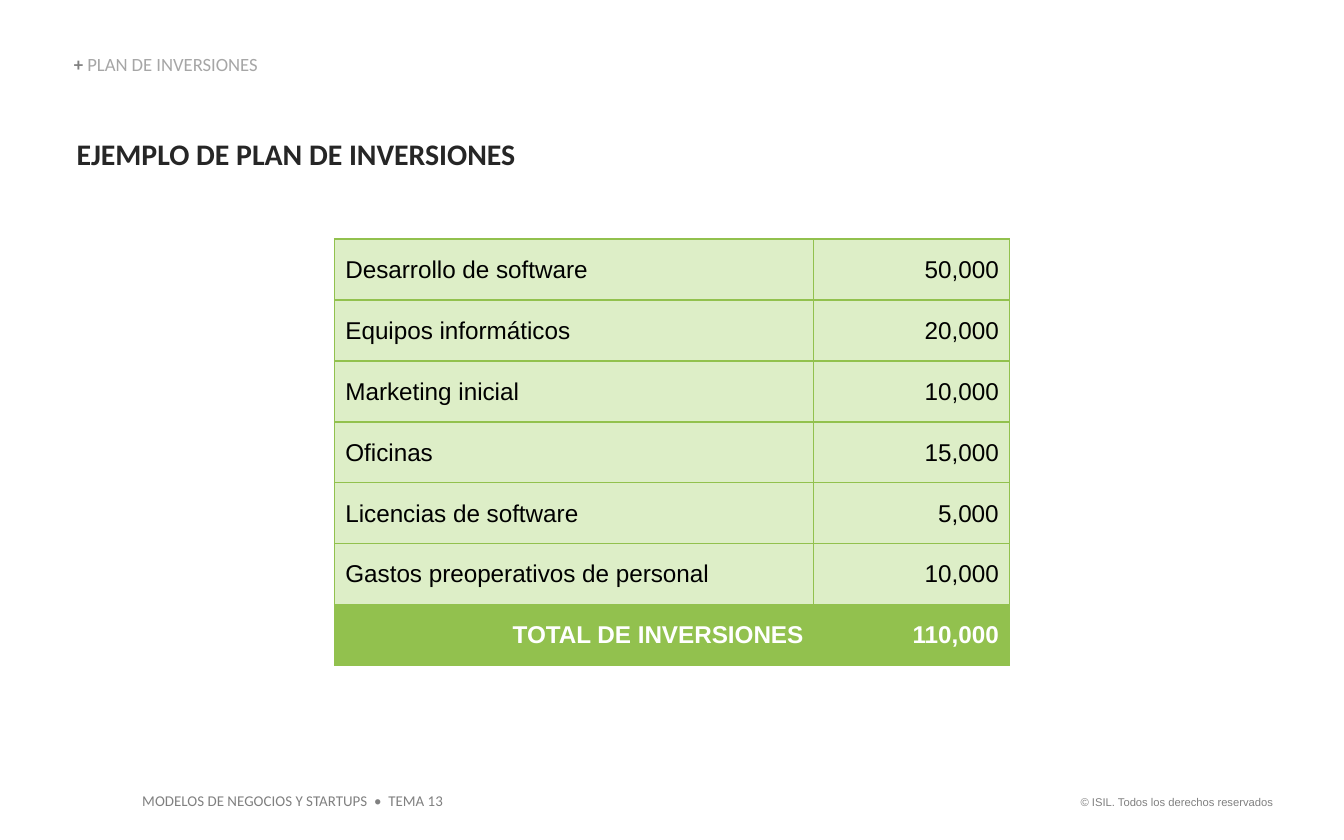
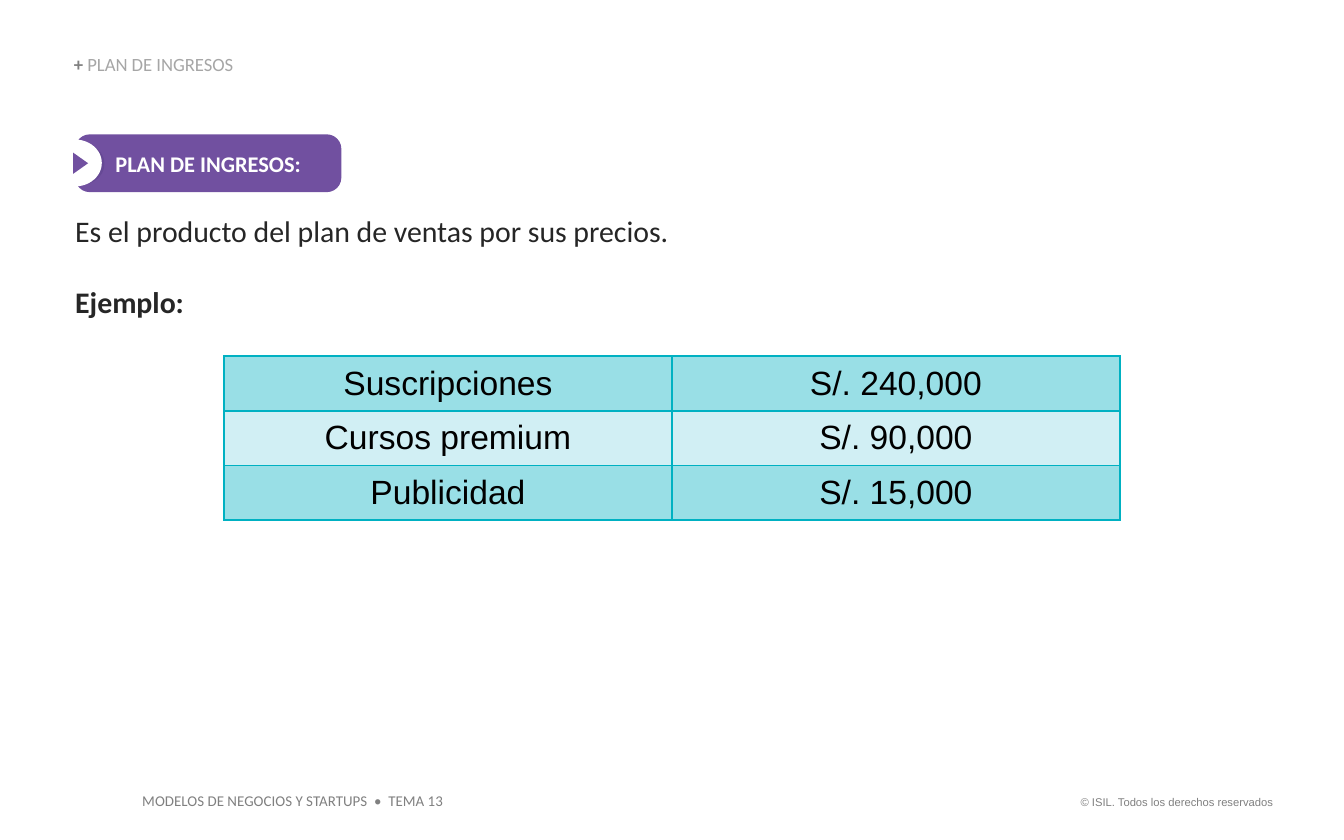
from lxml.etree import SubElement
from pptx import Presentation
from pptx.dml.color import RGBColor
from pptx.enum.shapes import MSO_SHAPE as Shape
from pptx.enum.text import MSO_ANCHOR as Anchor, PP_ALIGN as Align
from pptx.oxml.ns import qn
from pptx.util import Inches, Pt

# Grid: 100 columns by 62.5 rows of one unit
COLS, ROWS = 100, 62.5
UNIT = Inches(0.1)

SANS, PLAIN = "Calibri", "Arial"
INK, GREY, PALE = "262626", "808080", "A6A6A6"
BLACK, WHITE = "000000", "FFFFFF"
GREEN, MINT = "92C14E", "DDEEC7"
TEAL, ICE = "00B1C2", "D1EFF4"
PURPLE, SHADE = "7150A0", "664995"

COSTS = [
    ("Desarrollo de software", "50,000"),
    ("Equipos informáticos", "20,000"),
    ("Marketing inicial", "10,000"),
    ("Oficinas", "15,000"),
    ("Licencias de software", "5,000"),
    ("Gastos preoperativos de personal", "10,000"),
    ("TOTAL DE INVERSIONES", "110,000"),
]
SALES = [
    ("Suscripciones", "S/. 240,000"),
    ("Cursos premium", "S/. 90,000"),
    ("Publicidad", "S/. 15,000"),
]


def color(code):
    return RGBColor.from_string(code)


def place(box):
    return [int(n * UNIT) for n in box]


def inside(box, part):
    """Turn shares of a box into a box on the grid."""
    left, top, width, height = box
    x, y, w, h = part
    return left + x * width, top + y * height, w * width, h * height


def style(font, size, code, bold=False, name=SANS):
    font.name, font.size, font.bold = name, Pt(size), bold
    font.color.rgb = color(code)


def inset(item, *sides):
    (item.margin_left, item.margin_top,
     item.margin_right, item.margin_bottom) = [Inches(n) for n in sides]


def label(slide, box, text, size, code, bold=False, name=SANS,
          align=Align.LEFT, pad=(0, 0, 0, 0), wrap=True):
    frame = slide.shapes.add_textbox(*place(box)).text_frame
    frame.word_wrap = wrap
    inset(frame, *pad)
    frame.text = text
    for para in frame.paragraphs:
        para.alignment = align
        for run in para.runs:
            style(run.font, size, code, bold, name)
    return frame


def solid(shapes, kind, box, code):
    shape = shapes.add_shape(kind, *place(box))
    shape.shadow.inherit = False
    shape.fill.solid()
    shape.fill.fore_color.rgb = color(code)
    shape.line.fill.background()
    return shape


# Frame shared by both slides: footers and section name
def base(deck, section):
    slide = deck.slides.add_slide(deck.slide_layouts[6])
    pad = (0.1, 0.05, 0.1, 0.05)
    label(slide, (78.8, 58.7, 16.9, 2), "© ISIL. Todos los derechos reservados",
          6, GREY, name=PLAIN, align=Align.RIGHT, pad=pad, wrap=False)
    label(slide, (9.6, 58.4, 24.5, 2.4),
          "MODELOS DE NEGOCIOS Y STARTUPS  •  TEMA 13",
          8, GREY, pad=pad, wrap=False)
    head = label(slide, (5.5, 4.1, 42.5, 1.5), "+ ", 10, GREY, bold=True)
    head.vertical_anchor = Anchor.BOTTOM
    para = head.paragraphs[0]
    para.line_spacing = 0.9
    run = para.add_run()
    run.text = section
    style(run.font, 10, PALE)
    return slide


def border(cell, code):
    props = cell._tc.get_or_add_tcPr()
    for side in ("a:lnL", "a:lnR", "a:lnT", "a:lnB"):
        line = SubElement(props, qn(side), w=str(Pt(1)))
        fill = SubElement(line, qn("a:solidFill"))
        SubElement(fill, qn("a:srgbClr"), val=code)


def paint(cell, code, alpha=None):
    cell.fill.solid()
    cell.fill.fore_color.rgb = color(code)
    if alpha:
        tint = cell._tc.tcPr.find(qn("a:solidFill")).find(qn("a:srgbClr"))
        SubElement(tint, qn("a:alpha"), val=str(alpha * 1000))


def grid(slide, box, data, shares, line, pad, look):
    """look(row, col) gives fill, alpha, alignment, size, text colour, bold."""
    table = slide.shapes.add_table(len(data), len(shares), *place(box)).table
    table.first_row = table.horz_banding = False
    for col, share in zip(table.columns, shares):
        col.width = int(box[2] * share * UNIT)
    for r, row in enumerate(data):
        table.rows[r].height = int(box[3] / len(data) * UNIT)
        for c, text in enumerate(row):
            fill, alpha, align, size, ink, bold = look(r, c)
            cell = table.cell(r, c)
            cell.text = text
            cell.vertical_anchor = Anchor.MIDDLE
            inset(cell, *pad)
            border(cell, line)
            paint(cell, fill, alpha)
            para = cell.text_frame.paragraphs[0]
            para.alignment = align
            style(para.runs[0].font, size, ink, bold, PLAIN)


# Purple tag with a round notch and an arrow
def badge(slide, box, text):
    group = slide.shapes.add_group_shape().shapes
    tag = solid(group, Shape.ROUNDED_RECTANGLE, box, PURPLE)
    tag.adjustments[0] = 0.25
    frame = tag.text_frame
    frame.text = text
    frame.vertical_anchor = Anchor.MIDDLE
    para = frame.paragraphs[0]
    para.alignment = Align.CENTER
    style(para.runs[0].font, 12, WHITE, True)
    solid(group, Shape.OVAL, inside(box, (-0.08, 0.14, 0.19, 0.74)), SHADE)
    solid(group, Shape.OVAL, inside(box, (-0.1, 0.09, 0.2, 0.81)), WHITE)
    arrow = solid(group, Shape.ISOSCELES_TRIANGLE,
                  inside(box, (-0.02, 0.37, 0.08, 0.26)), PURPLE)
    arrow.rotation = 90


def costs(deck):
    slide = base(deck, "PLAN DE INVERSIONES")
    label(slide, (5.7, 10.1, 89.2, 2.7), "EJEMPLO DE PLAN DE INVERSIONES",
          16, INK, bold=True)

    def look(r, c):
        total = r == len(COSTS) - 1
        align = Align.RIGHT if total or c else Align.LEFT
        if total:
            return GREEN, None, align, 13, WHITE, True
        return MINT, None, align, 13, BLACK, False

    width = 50.2
    grid(slide, ((COLS - width) / 2, 17.8, width, 31.7), COSTS, (0.71, 0.29),
         GREEN, (0.08, 0.01, 0.08, 0), look)


def sales(deck):
    slide = base(deck, "PLAN DE INGRESOS")
    body = label(slide, (5.6, 15.8, 89.2, 8.1),
                 "Es el producto del plan de ventas por sus precios.\nEjemplo:",
                 16, INK)
    lead = body.paragraphs[1]
    lead.space_before = Pt(19)
    lead.runs[0].font.bold = True

    def look(r, c):
        fill, alpha = (ICE, None) if r % 2 else (TEAL, 40)
        return fill, alpha, Align.CENTER, 18, BLACK, False

    width = COLS * 2 / 3
    grid(slide, ((COLS - width) / 2, 26.5, width, 12.2), SALES, (0.5, 0.5),
         TEAL, (0.1, 0.05, 0.1, 0.05), look)
    badge(slide, (5.6, 10, 19.8, 4.3), "PLAN DE INGRESOS:")


def main():
    deck = Presentation()
    deck.slide_width = int(COLS * UNIT)
    deck.slide_height = int(ROWS * UNIT)
    costs(deck)
    sales(deck)
    deck.save("out.pptx")


if __name__ == "__main__":
    main()
